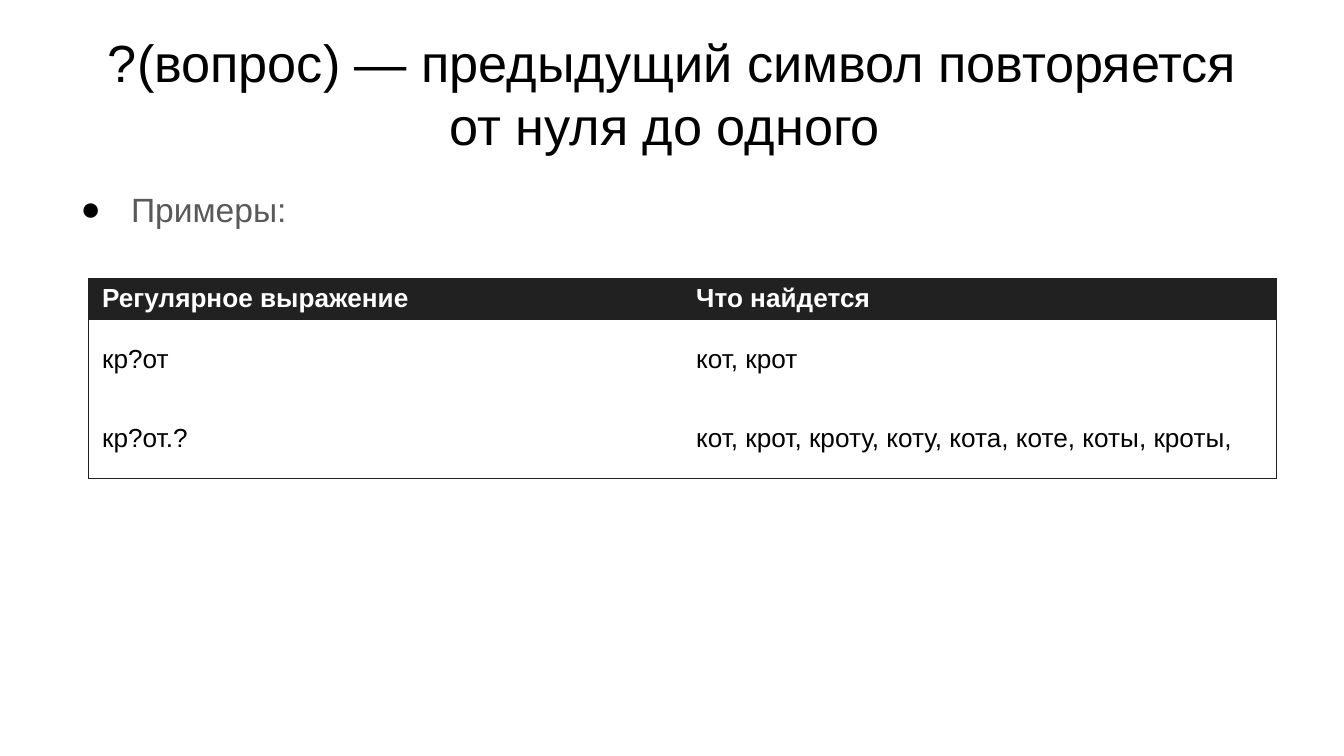
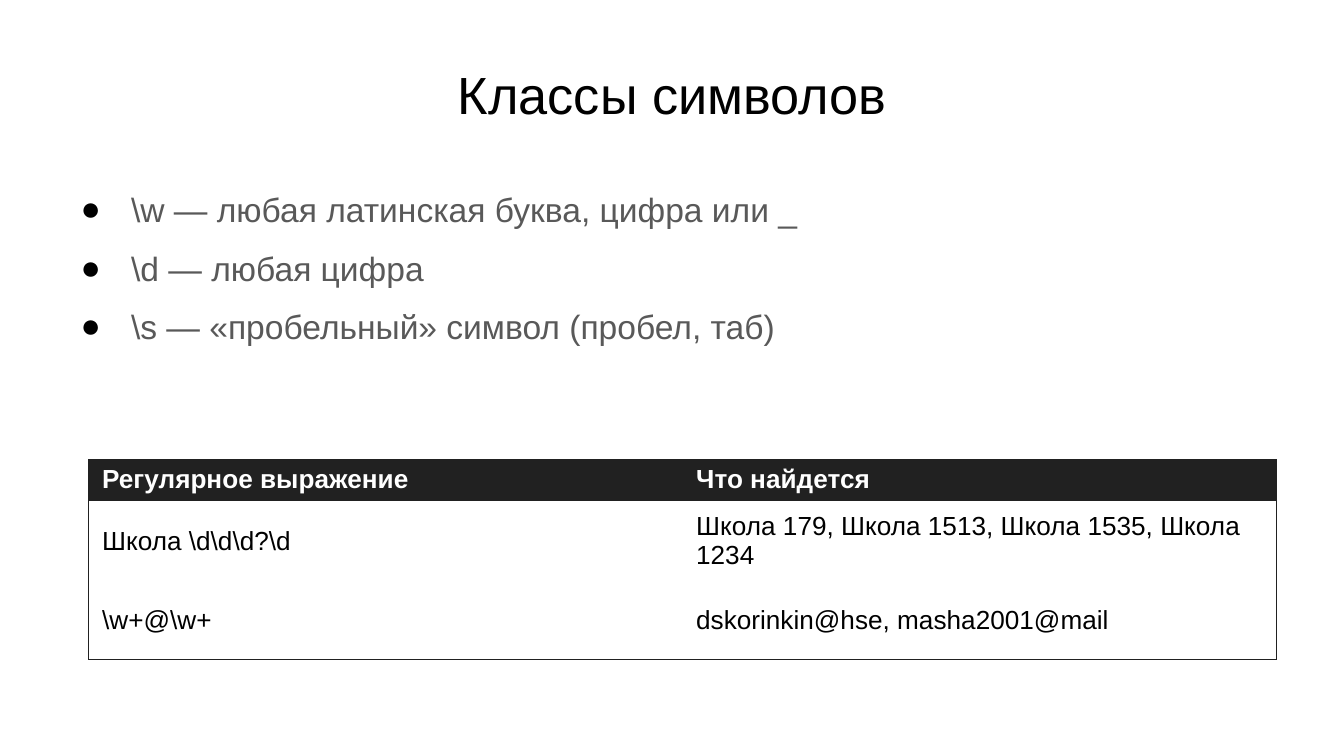
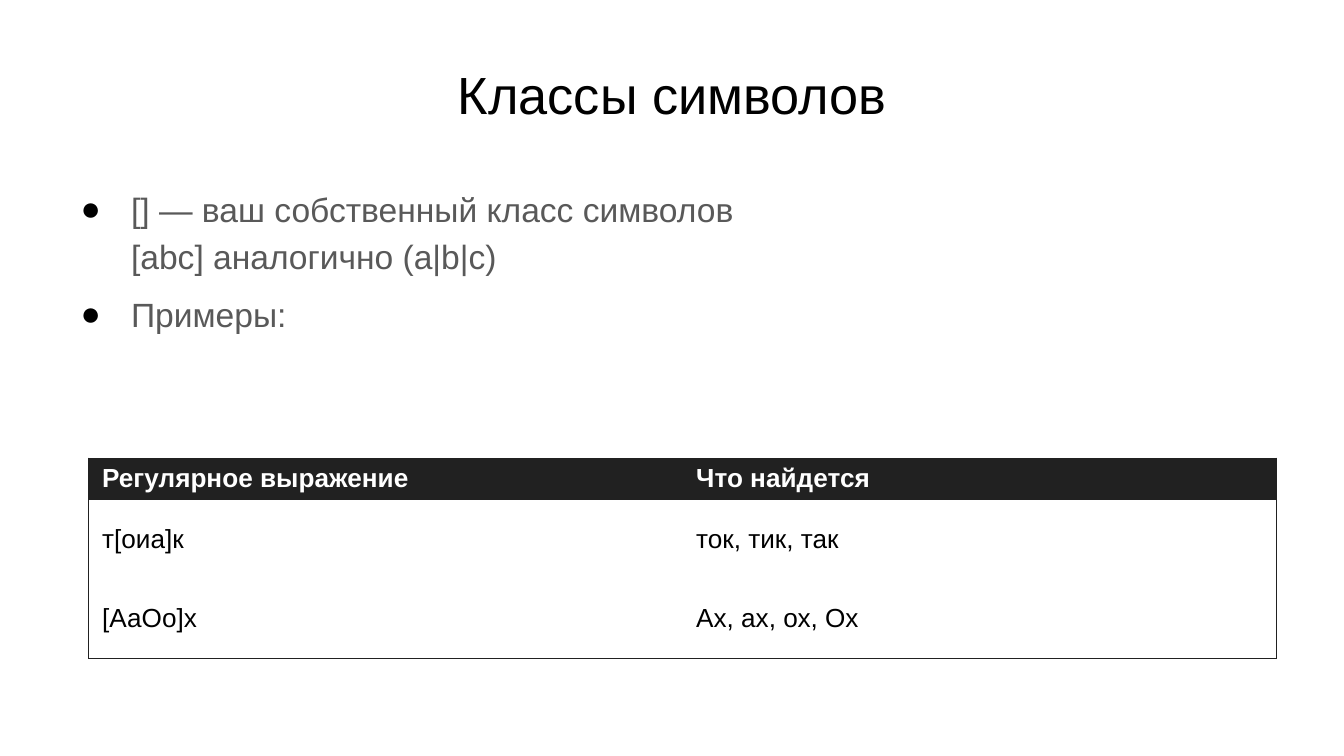
from lxml.etree import SubElement
from pptx import Presentation
from pptx.dml.color import RGBColor
from pptx.enum.text import MSO_ANCHOR, MSO_AUTO_SIZE, PP_ALIGN
from pptx.oxml.ns import qn
from pptx.util import Inches, Pt

# Shared look
FONT = "Arial"
BLACK = RGBColor(0x00, 0x00, 0x00)
GRAY = RGBColor(0x59, 0x59, 0x59)
CHARCOAL = RGBColor(0x21, 0x21, 0x21)
WHITE = RGBColor(0xFF, 0xFF, 0xFF)

# Widescreen page, 16:9
SLIDE_WIDTH = Inches(10)
SLIDE_HEIGHT = SLIDE_WIDTH * 9 // 16
MARGIN = SLIDE_WIDTH // 20
CONTENT_WIDTH = SLIDE_WIDTH - 2 * MARGIN
TITLE_TOP, TITLE_HEIGHT = SLIDE_HEIGHT // 25, SLIDE_HEIGHT // 6
LIST_TOP, LIST_HEIGHT = SLIDE_HEIGHT * 7 // 30, int(SLIDE_HEIGHT * 0.66)
LIST_INDENT = Pt(27)

TABLE_LEFT = Inches(0.66)
COLUMN_WIDTH = Inches(4.42)
HEADER_HEIGHT, ROW_HEIGHT = Inches(0.31), Inches(0.59)
HEADINGS = ("Регулярное выражение", "Что найдется")

# Title, list items, table top in inches, table rows
SLIDES = [
    ("?(вопрос) — предыдущий символ повторяется от нуля до одного ",
     ["Примеры:"],
     2.07,
     [("кр?от", "кот, крот"),
      ("кр?от.?", "кот, крот, кроту, коту, кота, коте, коты, кроты,")]),
    ("Классы символов",
     [r"\w — любая латинская буква, цифра или _",
      r"\d — любая цифра",
      r"\s — «пробельный» символ (пробел, таб)"],
     3.42,
     [(r"Школа \d\d\d?\d", "Школа 179, Школа 1513, Школа 1535, Школа 1234"),
      (r"\w+@\w+", "dskorinkin@hse, masha2001@mail")]),
    ("Классы символов",
     ["[] — ваш собственный класс символов\n[abc] аналогично (a|b|c)",
      "Примеры:"],
     3.41,
     [("т[оиа]к", "ток, тик, так"),
      ("[АаОо]х", "Ах, ах, ох, Ох")]),
]


def write(paragraph, text, size, color, bold=False, align=PP_ALIGN.LEFT,
          line_spacing=1.0, space_before=0):
    paragraph.text = text
    paragraph.alignment = align
    paragraph.line_spacing = line_spacing
    paragraph.space_before = Pt(space_before)
    for run in paragraph.runs:
        run.font.name = FONT
        run.font.size = Pt(size)
        run.font.bold = bold
        run.font.color.rgb = color
    # Line breaks take the size of their text
    for line_break in paragraph._p.findall(qn("a:br")):
        SubElement(line_break, qn("a:rPr"), sz=str(size * 100))


def add_bullet(paragraph):
    properties = paragraph._p.get_or_add_pPr()
    properties.set("marL", str(LIST_INDENT))
    properties.set("indent", str(-LIST_INDENT))
    bullet_color = SubElement(properties, qn("a:buClr"))
    SubElement(bullet_color, qn("a:srgbClr"), val=str(BLACK))
    SubElement(properties, qn("a:buFont"), typeface=FONT)
    SubElement(properties, qn("a:buChar"), char="●")


def place(placeholder, top, height, anchor):
    placeholder.left, placeholder.top = MARGIN, top
    placeholder.width, placeholder.height = CONTENT_WIDTH, height
    frame = placeholder.text_frame
    frame.word_wrap = True
    frame.auto_size = MSO_AUTO_SIZE.NONE
    frame.vertical_anchor = anchor
    return frame


def fill_title(slide, title):
    frame = place(slide.shapes.title, TITLE_TOP, TITLE_HEIGHT, MSO_ANCHOR.MIDDLE)
    write(frame.paragraphs[0], title, size=28, color=BLACK, align=PP_ALIGN.CENTER)


def fill_list(slide, items):
    frame = place(slide.placeholders[1], LIST_TOP, LIST_HEIGHT, MSO_ANCHOR.TOP)
    for index, item in enumerate(items):
        paragraph = frame.add_paragraph() if index else frame.paragraphs[0]
        add_bullet(paragraph)
        write(paragraph, item, size=18, color=GRAY, line_spacing=1.15,
              space_before=6.4 if index else 0)


def set_borders(cell, visible):
    properties = cell._tc.get_or_add_tcPr()
    for side in "LRTB":
        line = SubElement(properties, qn(f"a:ln{side}"), w=str(Pt(0.75)))
        if side in visible:
            solid = SubElement(line, qn("a:solidFill"))
            SubElement(solid, qn("a:srgbClr"), val=str(CHARCOAL))
        else:
            SubElement(line, qn("a:noFill"))


def add_examples(slide, top, examples):
    rows = [HEADINGS, *examples]
    table = slide.shapes.add_table(
        len(rows), len(HEADINGS), TABLE_LEFT, Inches(top),
        COLUMN_WIDTH * len(HEADINGS),
        HEADER_HEIGHT + ROW_HEIGHT * len(examples)).table
    for column in table.columns:
        column.width = COLUMN_WIDTH
    for r, row in enumerate(rows):
        is_header = r == 0
        table.rows[r].height = HEADER_HEIGHT if is_header else ROW_HEIGHT
        for c, text in enumerate(row):
            cell = table.cell(r, c)
            # Only the outer frame is drawn
            frame_sides = ("L" if c == 0 else "R") + ("T" if is_header else "")
            set_borders(cell, frame_sides + ("B" if r == len(examples) else ""))
            cell.margin_top = cell.margin_bottom = Inches(0.04 if is_header else 0)
            if is_header:
                cell.fill.solid()
                cell.fill.fore_color.rgb = CHARCOAL
            else:
                cell.fill.background()
                cell.vertical_anchor = MSO_ANCHOR.MIDDLE
            write(cell.text_frame.paragraphs[0], text, size=14, bold=is_header,
                  color=WHITE if is_header else BLACK)


def main():
    deck = Presentation()
    deck.slide_width, deck.slide_height = SLIDE_WIDTH, SLIDE_HEIGHT
    for title, items, table_top, examples in SLIDES:
        slide = deck.slides.add_slide(deck.slide_layouts[1])
        fill_title(slide, title)
        fill_list(slide, items)
        add_examples(slide, table_top, examples)
    deck.save("out.pptx")


if __name__ == "__main__":
    main()
